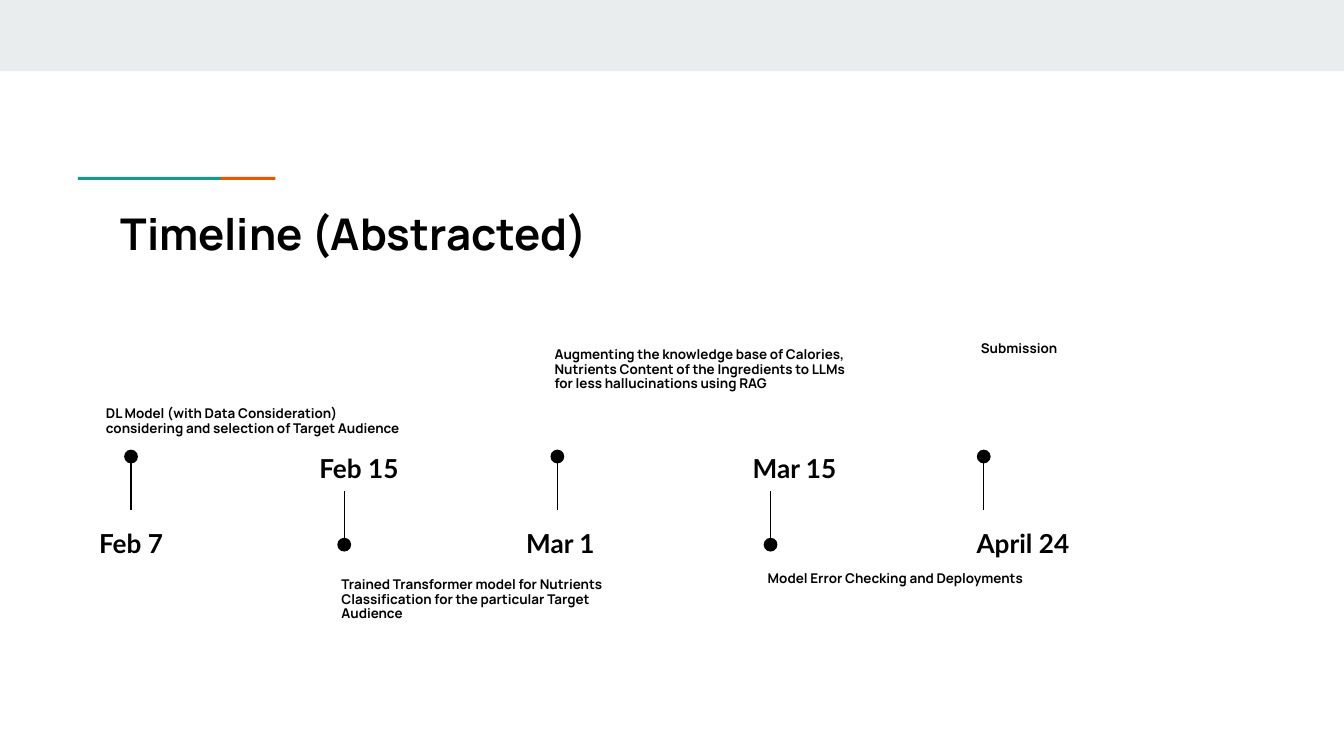
from pptx import Presentation
from pptx.dml.color import RGBColor
from pptx.enum.shapes import MSO_CONNECTOR, MSO_SHAPE
from pptx.enum.text import PP_ALIGN
from pptx.oxml.ns import qn
from pptx.util import Pt
from lxml import etree

RECT, OVAL = MSO_SHAPE.RECTANGLE, MSO_SHAPE.OVAL
STRAIGHT = MSO_CONNECTOR.STRAIGHT
LEFT, CENTER = PP_ALIGN.LEFT, PP_ALIGN.CENTER
BLACK = RGBColor(0x00, 0x00, 0x00)
BAND = RGBColor(0xE9, 0xED, 0xEE)
TEAL = RGBColor(0x1A, 0x99, 0x88)
ORANGE = RGBColor(0xEB, 0x56, 0x00)

PITCH = 114.2
DOT = 7.4
STEM = 28.8

# date, date offset and width, caption, caption offset and top, dot above the date
MILESTONES = [
    ("Feb 7", -34.2, 68.4,
     "DL Model (with Data Consideration) considering and selection of Target Audience",
     -20.5, 31.7, True),
    ("Feb 15", -21.6, 59,
     "Trained Transformer model for Nutrients Classification for the particular Target Audience",
     -8.6, 123.1, False),
    ("Mar 1", -25.7, 54.7,
     "Augmenting the knowledge base of Calories, Nutrients Content of the Ingredients "
     "to LLMs for less hallucinations using RAG",
     -8.6, 0, True),
    ("Mar 15", -29.2, 84.2, "Model Error Checking and Deployments",
     -8.6, 123.1, False),
    ("April 24", -28.7, 99.4, "Submission", -8.6, 0, True),
]


def add_filled(slide, kind, left, top, width, height, color):
    """Add a plain filled shape without outline."""
    sp = slide.shapes.add_shape(kind, Pt(left), Pt(top), Pt(width), Pt(height))
    sp.shadow.inherit = False
    sp.fill.solid()
    sp.fill.fore_color.rgb = color
    sp.line.fill.background()


def add_text(slide, left, top, width, height, text, size, font, align=LEFT, spacing=1.0):
    """Add a bold one-paragraph text box."""
    tf = slide.shapes.add_textbox(Pt(left), Pt(top), Pt(width), Pt(height)).text_frame
    tf.word_wrap = True
    tf.margin_left = tf.margin_right = tf.margin_top = tf.margin_bottom = Pt(7.2)
    p = tf.paragraphs[0]
    p.text = text
    p.alignment = align
    p.line_spacing = spacing
    p.font.name = font
    p.font.size = Pt(size)
    p.font.bold = True
    p.font.color.rgb = BLACK


def add_stem(slide, x, start, end):
    """Add a thin vertical line."""
    line = slide.shapes.add_connector(STRAIGHT, Pt(x), Pt(start), Pt(x), Pt(end))
    line.line.color.rgb = BLACK
    line.line.width = Pt(0.75)
    etree.SubElement(line._element.spPr, qn("a:effectLst"))


def add_heading(slide, left, top, width):
    """Add the two-colour accent bar and the title below it."""
    add_filled(slide, RECT, left, top, 76.6, 1.6, TEAL)
    add_filled(slide, RECT, left + 76.6, top, 29.2, 1.6, ORANGE)
    add_text(slide, left + 15.8, top + 8.8, width, 42.5, "Timeline (Abstracted)", 23.4, "Manrope")


def add_milestone(slide, x, top, date, date_dx, date_width, caption, caption_dx, caption_dy, up):
    """Add one milestone around the vertical axis x."""
    dot_y = top + (65.3 if up else 112.5)
    add_text(slide, x + date_dx, top + (93.6 if up else 53.3), date_width, 29.5,
             date, 14, "Lato", CENTER, 1.15)
    add_text(slide, x + caption_dx, top + caption_dy, 174.2, 18, caption, 7.2, "Manrope",
             spacing=0.9)
    add_stem(slide, x, dot_y, dot_y + (STEM if up else -STEM))
    add_filled(slide, OVAL, x - DOT / 2, dot_y - DOT / 2, DOT, DOT, BLACK)


def add_timeline(slide, left, top):
    """Add all milestones at equal distances."""
    for i, milestone in enumerate(MILESTONES):
        add_milestone(slide, left + i * PITCH, top, *milestone)


def main():
    """Build and save the slide."""
    prs = Presentation()
    prs.slide_width, prs.slide_height = Pt(720), Pt(405)
    slide = prs.slides.add_slide(prs.slide_layouts[6])
    add_filled(slide, RECT, 0, 0, 720, 38.2, BAND)
    add_heading(slide, 41.8, 94.8, 605.5)
    add_timeline(slide, 70.2, 179.3)
    prs.save("out.pptx")


if __name__ == "__main__":
    main()
